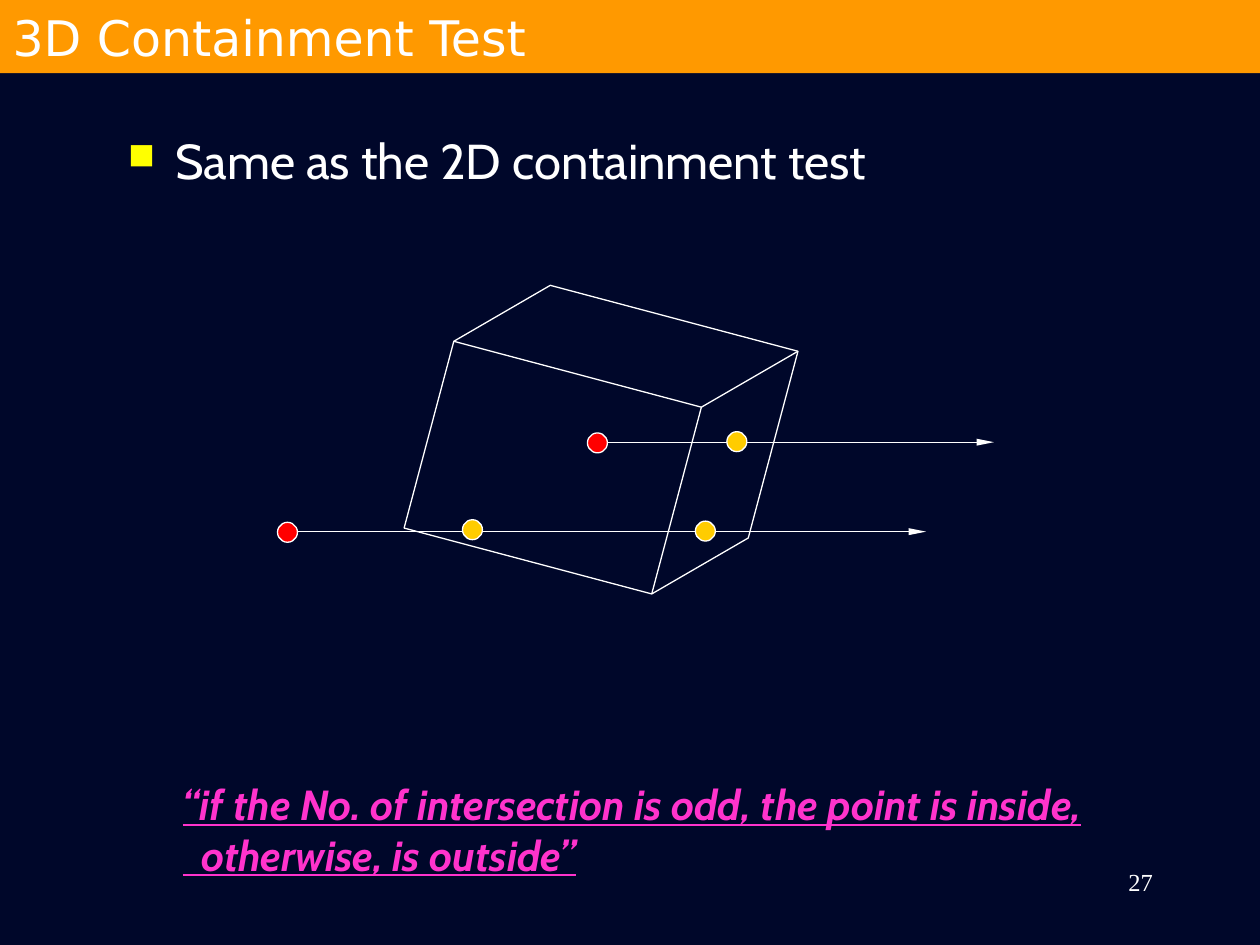
import pptx
import pptx.dml.color
import pptx.enum.shapes
import pptx.enum.text
import pptx.util
from lxml import etree
from pptx.oxml.ns import qn

Pt = pptx.util.Pt
SHAPE = pptx.enum.shapes.MSO_SHAPE
ALIGN = pptx.enum.text.PP_ALIGN
ANCHOR = pptx.enum.text.MSO_ANCHOR
COLOURS = {name: pptx.dml.color.RGBColor.from_string(value) for name, value in {
    "night": "00072A", "orange": "FF9900", "white": "FFFFFF", "pink": "FF33CC",
    "yellow": "FFFF00", "red": "FF0000", "gold": "FFCC00"}.items()}


def write_text(box, text, font, size, colour="white", align=ALIGN.LEFT,
               anchor=ANCHOR.TOP, before=0, emphasis=False):
    """Fill a box with one paragraph for each line of text."""
    frame = box.text_frame
    frame.word_wrap = True
    frame.auto_size = pptx.enum.text.MSO_AUTO_SIZE.NONE
    frame.vertical_anchor = anchor
    for number, line in enumerate(text.split("\n")):
        para = frame.add_paragraph() if number else frame.paragraphs[0]
        para.alignment = align
        para.space_before = Pt(before)
        span = para.add_run()
        span.text = line
        span.font.name = font
        span.font.size = Pt(size)
        span.font.color.rgb = COLOURS[colour]
        if emphasis:
            span.font.bold = span.font.italic = span.font.underline = True


def add_outlined(kind, left, top, width, height, fill=None):
    """Add a shape with a thin white outline."""
    shape = slide.shapes.add_shape(kind, Pt(left), Pt(top), Pt(width), Pt(height))
    shape.shadow.inherit = False
    if fill:
        shape.fill.solid()
        shape.fill.fore_color.rgb = COLOURS[fill]
    else:
        shape.fill.background()
    shape.line.color.rgb = COLOURS["white"]
    shape.line.width = Pt(0.75)
    return shape


deck = pptx.Presentation()
deck.slide_width, deck.slide_height = Pt(720), Pt(540)
slide = deck.slides.add_slide(deck.slide_layouts[5])
slide.background.fill.solid()
slide.background.fill.fore_color.rgb = COLOURS["night"]

# Title bar
title = slide.shapes.title
title.left, title.top, title.width, title.height = Pt(0), Pt(0), Pt(720), Pt(41.8)
title.fill.solid()
title.fill.fore_color.rgb = COLOURS["orange"]
write_text(title, "3D Containment Test", "DejaVu Sans", 28, anchor=ANCHOR.MIDDLE)

# Page number
page = slide.shapes.add_textbox(Pt(516), Pt(492), Pt(150), Pt(36))
write_text(page, "27", "Times New Roman", 14, align=ALIGN.RIGHT, before=8.8)

# Bulleted statement
statement = slide.shapes.add_textbox(Pt(66), Pt(71.3), Pt(575), Pt(39.6))
write_text(statement, "Same as the 2D containment test", "Cabin", 28, before=7)
properties = statement.text_frame.paragraphs[0]._p.get_or_add_pPr()
properties.set("marL", str(Pt(27)))
properties.set("indent", str(-Pt(27)))
bullet_colour = etree.SubElement(properties, qn("a:buClr"))
etree.SubElement(bullet_colour, qn("a:srgbClr"), val=str(COLOURS["yellow"]))
etree.SubElement(properties, qn("a:buSzPct"), val="75000")
etree.SubElement(properties, qn("a:buChar"), char="■")

# Rule for inside and outside
rule = slide.shapes.add_textbox(Pt(97.2), Pt(441.4), Pt(611), Pt(65))
write_text(rule, "“if the No. of intersection is odd, the point is inside,\n"
           "  otherwise, is outside”", "Cabin", 24, "pink", emphasis=True)

# Tilted cube
cube = add_outlined(SHAPE.CUBE, 247.7, 173.5, 191.5, 155.5)
cube.adjustments[0] = 0.29
cube.rotation = 14.9

# Rays cast from the two tested points
for start, end, height in [(340.6, 568, 252.7), (163.4, 529.2, 303.8)]:
    ray = slide.shapes.add_connector(pptx.enum.shapes.MSO_CONNECTOR.STRAIGHT,
                                     Pt(start), Pt(height), Pt(end), Pt(height))
    ray.line.color.rgb = COLOURS["white"]
    ray.line.width = Pt(0.75)
    etree.SubElement(ray.line._get_or_add_ln(), qn("a:tailEnd"),
                     type="triangle", w="sm", len="lg")
    etree.SubElement(ray._element.spPr, qn("a:effectLst"))

# Tested points (red) and intersections (gold), by centre
DOT = 11.4
for x, y, colour in [(341.4, 253.1, "red"), (164.3, 304.2, "red"),
                     (421.1, 252.4, "gold"), (270, 302.7, "gold"),
                     (403.1, 303.5, "gold")]:
    add_outlined(SHAPE.OVAL, x - DOT / 2, y - DOT / 2, DOT, DOT, colour)

deck.save("out.pptx")
